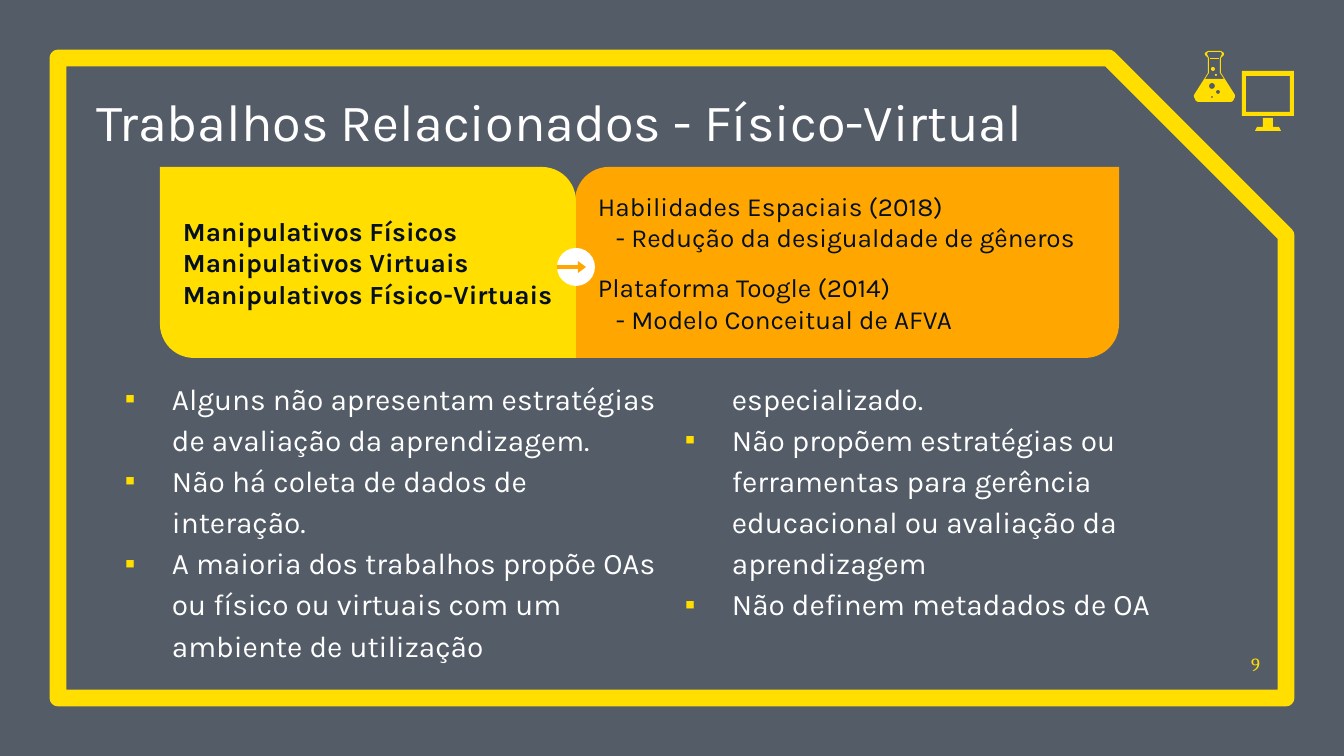
from math import cos, pi, sin

from lxml.etree import SubElement
from pptx import Presentation
from pptx.dml.color import RGBColor
from pptx.enum.shapes import MSO_SHAPE as Shape
from pptx.enum.text import MSO_ANCHOR as Anchor, MSO_AUTO_SIZE as AutoSize, PP_ALIGN as Align
from pptx.oxml.ns import qn
from pptx.util import Pt

TITLE = "Trabalhos Relacionados - Físico-Virtual"
PAGE = "9"
MANIPULATIVES = ["Manipulativos Físicos", "Manipulativos Virtuais", "Manipulativos Físico-Virtuais"]
WORKS = [
    ("Habilidades Espaciais (2018)", "- Redução da desigualdade de gêneros"),
    ("Plataforma Toogle (2014)", "- Modelo Conceitual de AFVA"),
]
LIMITS = [
    "Alguns não apresentam estratégias de avaliação da aprendizagem.",
    "Não há coleta de dados de interação.",
    "A maioria dos trabalhos propõe OAs ou físico ou virtuais com um ambiente de utilização especializado.",
    "Não propõem estratégias ou ferramentas para gerência educacional ou avaliação da aprendizagem",
    "Não definem metadados de OA",
]
YELLOW, ORANGE, NAVY, WHITE, SLATE = "FFDE00", "FFA700", "040F20", "FFFFFF", "545C67"

FLASK_AXIS = 1214.5
FLASK_SIDE = [(1221, 51), (1224, 53), (1224, 55), (1221, 58), (1221, 73), (1235, 95), (1235, 97), (1233, 101), (1231, 102)]
NECK_SIDE = [(1221, 52), (1222, 54), (1220, 58), (1220, 73), (1224, 79)]
LIQUID_BUBBLES = [(1212, 86, 3), (1218, 92, 2), (1212, 97, 1)]
NECK_BUBBLES = [(1216, 75, 1), (1213, 69, 2)]
STAND = [(1263, 118), (1263, 127), (1257, 127), (1255, 131), (1281, 131), (1279, 127), (1273, 127), (1273, 118)]


def px(length):
    """Turn pixels into EMU."""
    return round(length * 914400 / 134.4)


def color(hex_code):
    """Turn a hex string into a colour."""
    return RGBColor.from_string(hex_code)


def paint(shape, fill=None, line=None, weight=0):
    """Give a shape its fill and line, without shadow."""
    shape.shadow.inherit = False
    if fill:
        shape.fill.solid()
        shape.fill.fore_color.rgb = color(fill)
    else:
        shape.fill.background()
    if line:
        shape.line.color.rgb = color(line)
        shape.line.width = Pt(weight)
    else:
        shape.line.fill.background()


def add_preset(shapes, kind, box, adjustments=(), **look):
    """Add a painted preset shape."""
    shape = shapes.add_shape(kind, *map(px, box))
    for index, value in enumerate(adjustments):
        shape.adjustments[index] = value
    paint(shape, **look)
    return shape


def add_outline(shapes, *contours):
    """Add one yellow outline, where inner contours are holes."""
    builder = None
    for contour in contours:
        start, *rest = [(px(x), px(y)) for x, y in contour]
        if builder:
            builder.move_to(*start)
        else:
            builder = shapes.build_freeform(*start)
        builder.add_line_segments(rest, close=True)
    paint(builder.convert_to_shape(), YELLOW)


def mirrored(side):
    """Complete the flask contour from its right side."""
    return side + [(2 * FLASK_AXIS - x, y) for x, y in reversed(side)]


def circle(x, y, radius):
    """Return a twelve-sided bubble."""
    return [(x + radius * cos(k * pi / 6), y + radius * sin(k * pi / 6)) for k in range(12)]


def rectangle(left, top, right, bottom):
    """Return the corners of a rectangle."""
    return [(left, top), (right, top), (right, bottom), (left, bottom)]


def write(shape, lines, size, hex_code, anchor, inset=0, font="Karla", bold=False, align=Align.LEFT):
    """Write formatted paragraphs into a shape and return them."""
    frame = shape.text_frame
    frame.text = "\n".join(lines)
    frame.word_wrap = True
    frame.auto_size = AutoSize.NONE
    frame.vertical_anchor = anchor
    frame.margin_left = frame.margin_top = frame.margin_right = frame.margin_bottom = px(inset)
    for paragraph in frame.paragraphs:
        paragraph.alignment = align
        paragraph.space_before = Pt(0)
        for run in paragraph.runs:
            run.font.size = Pt(size)
            run.font.name = font
            run.font.bold = bold
            run.font.color.rgb = color(hex_code)
    return frame.paragraphs


def place(shape, box):
    """Move and size a placeholder."""
    shape.left, shape.top, shape.width, shape.height = map(px, box)


def add_bullet(paragraph):
    """Give a paragraph a yellow square bullet and a hanging indent."""
    properties = paragraph._p.get_or_add_pPr()
    properties.set("marL", str(px(67)))
    properties.set("indent", str(-px(47)))
    tint = SubElement(properties, qn("a:buClr"))
    SubElement(tint, qn("a:srgbClr"), val=YELLOW)
    SubElement(properties, qn("a:buChar"), char="▪")


def cast_shadow(run):
    """Put a soft shadow behind a run of text."""
    effects = SubElement(run._r.get_or_add_rPr(), qn("a:effectLst"))
    run._r.rPr.find(qn("a:solidFill")).addnext(effects)
    shadow = SubElement(effects, qn("a:outerShdw"), blurRad="38100", dist="38100", dir="2700000", algn="tl")
    tint = SubElement(shadow, qn("a:srgbClr"), val="000000")
    SubElement(tint, qn("a:alpha"), val="43000")


def main():
    """Build the slide."""
    deck = Presentation()
    deck.slide_width, deck.slide_height = px(1344), px(756)
    slide = deck.slides.add_slide(deck.slide_layouts[1])
    slide.background.fill.solid()
    slide.background.fill.fore_color.rgb = color(SLATE)
    shapes = slide.shapes
    title, limits = slide.placeholders

    add_preset(shapes, Shape.SNIP_1_RECTANGLE, (58, 58, 1228, 640), [0.277], line=YELLOW, weight=9)

    place(title, (97, 81, 1054, 71))
    heading, = write(title, [TITLE], 28, WHITE, Anchor.BOTTOM)
    cast_shadow(heading.runs[0])
    page = shapes.add_textbox(*map(px, (1224, 637, 36, 38)))
    write(page, [PAGE], 10, YELLOW, Anchor.BOTTOM, font="Cambria", align=Align.RIGHT)

    works = add_preset(shapes, Shape.ROUND_2_DIAG_RECTANGLE, (575, 167, 544, 191), [0.178, 0], fill=ORANGE)
    lines = write(works, [line for work in WORKS for line in work], 14, NAVY, Anchor.MIDDLE, inset=13)
    for detail in lines[1::2]:
        detail._p.get_or_add_pPr().set("marL", str(px(18)))
    for name in lines[2::2]:
        name.space_before = Pt(10)
    manipulatives = add_preset(shapes, Shape.ROUND_2_DIAG_RECTANGLE, (160, 167, 416, 191), [0, 0.178], fill=YELLOW)
    write(manipulatives, MANIPULATIVES, 14, NAVY, Anchor.MIDDLE, inset=13, bold=True)

    flask = shapes.add_group_shape().shapes
    add_outline(flask, mirrored(FLASK_SIDE), mirrored(NECK_SIDE), *[circle(*bubble) for bubble in LIQUID_BUBBLES])
    add_outline(flask, rectangle(1210, 58, 1219, 59))
    for bubble in NECK_BUBBLES:
        add_outline(flask, circle(*bubble))
    monitor = shapes.add_group_shape().shapes
    add_outline(monitor, STAND)
    add_outline(monitor, rectangle(1242, 71, 1294, 116), rectangle(1246, 76, 1290, 112))

    place(limits, (105, 375, 1120, 300))
    for limit in write(limits, LIMITS, 16, WHITE, Anchor.TOP):
        limit.line_spacing = 1.15
        add_bullet(limit)
    columns = limits.text_frame._txBody.bodyPr
    columns.set("numCol", "2")
    columns.set("spcCol", "0")

    link = shapes.add_group_shape().shapes
    add_preset(link, Shape.OVAL, (557, 248, 38, 38), fill=WHITE)
    add_preset(link, Shape.RIGHT_ARROW, (557, 261, 29, 12), [0.32, 0.67], fill=ORANGE)

    deck.save("out.pptx")


if __name__ == "__main__":
    main()
